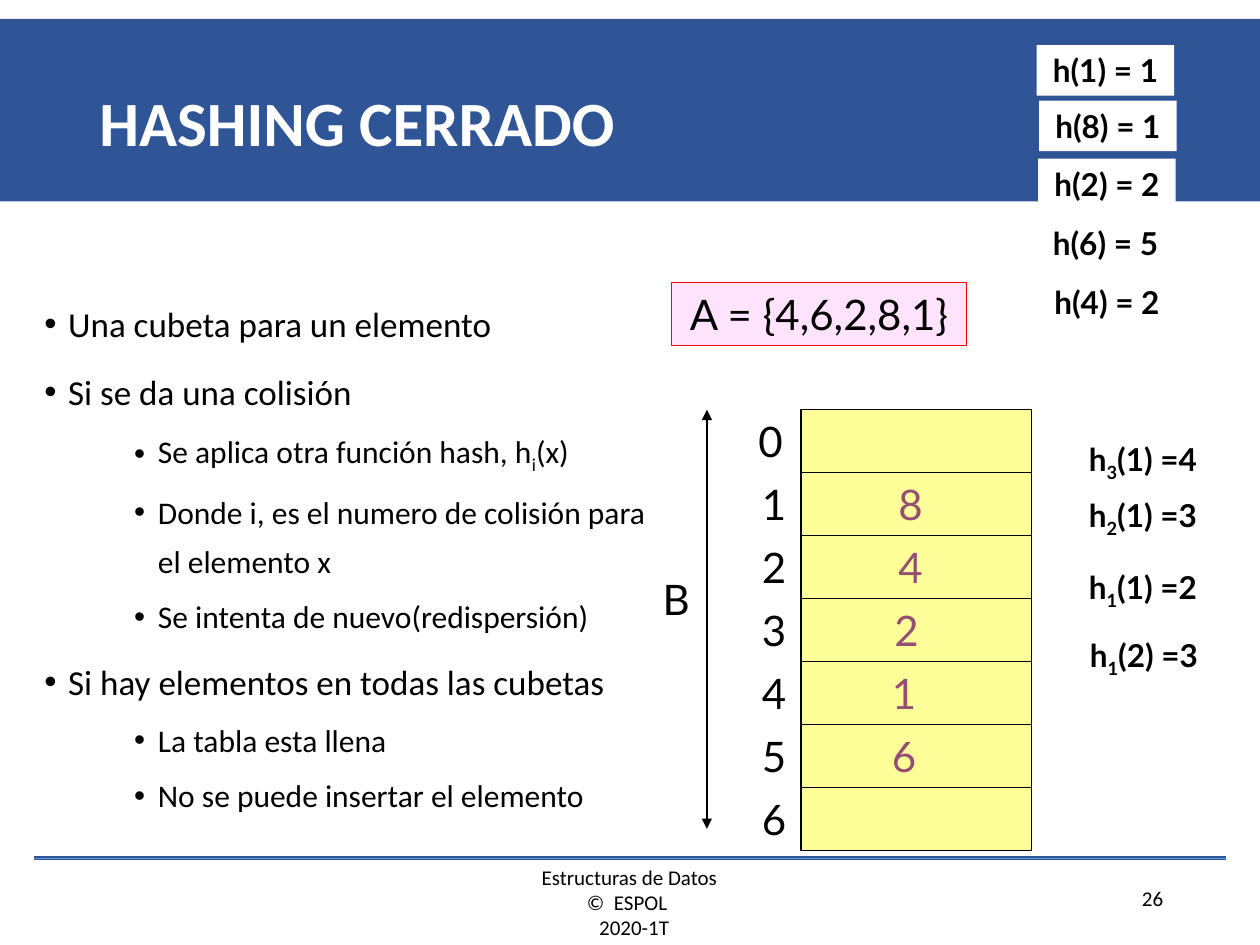
import pptx
import pptx.dml.color
import pptx.enum.dml
import pptx.enum.shapes
import pptx.enum.text
import pptx.util
from lxml import etree
from pptx.oxml.ns import qn

Cm = pptx.util.Cm
Pt = pptx.util.Pt
ALIGN = pptx.enum.text.PP_ALIGN
BLACK, WHITE, NAVY, PURPLE = "000000", "FFFFFF", "2F5597", "954F72"

CELL_LEFT, CELL_TOP, CELL_WIDTH, CELL_HEIGHT = 16.15, 8.26, 4.65, 1.27
BUCKET_COUNT = 7
LABEL_WIDTH = 0.99

# Bucket number: (left edge of the stored value, value)
STORED_VALUES = {1: (17.86, "8"), 2: (17.86, "4"), 3: (17.78, "2"),
                 4: (17.73, "1"), 5: (17.73, "6")}
HASHES = [(20.93, 5.59, "h(4) = 2"), (20.9, 4.39, "h(6) = 5"),
          (20.93, 3.2, "h(2) = 2"), (20.95, 2.03, "h(8) = 1"),
          (20.9, 0.91, "h(1) = 1")]
# Left, top, fill, number of the rehash function, rest of the text
REHASHES = [(21.41, 12.7, WHITE, "1", "(2) =3"),
            (21.39, 11.33, None, "1", "(1) =2"),
            (21.39, 9.88, None, "2", "(1) =3"),
            (21.39, 8.74, WHITE, "3", "(1) =4")]
# Level and runs; a run that starts with "_" is a subscript
BULLETS = [
    (0, ["Una cubeta para un elemento"]),
    (0, ["Si se da una colisión"]),
    (1, ["Se aplica otra función hash, h", "_i", "(x)"]),
    (1, ["Donde i, es el numero de colisión para el elemento x"]),
    (1, ["Se intenta de nuevo(redispersión)"]),
    (0, ["Si hay elementos en todas las cubetas"]),
    (1, ["La tabla esta llena"]),
    (1, ["No se puede insertar el elemento"]),
]


def color(hex_text):
    return pptx.dml.color.RGBColor.from_string(hex_text)


def place(shape, left, top, width, height):
    shape.left, shape.top = Cm(left), Cm(top)
    shape.width, shape.height = Cm(width), Cm(height)


def paint(shape, fill=None, line=None):
    if fill:
        shape.fill.solid()
        shape.fill.fore_color.rgb = color(fill)
    if line:
        shape.line.color.rgb = color(line)
        shape.line.width = Pt(0.75)
    else:
        shape.line.fill.background()


def add_runs(para, texts, size, font="Lato", ink=BLACK, bold=False):
    """Add one run per text; a leading "_" marks a subscript."""
    for text in texts:
        span = para.add_run()
        span.text = text.removeprefix("_")
        span.font.size = Pt(size)
        span.font.name = font
        span.font.bold = bold
        span.font.color.rgb = color(ink)
        if text.startswith("_"):
            span.font._element.set("baseline", "-25000")


def add_rectangle(slide, left, top, width, height, fill, line=None):
    box = slide.shapes.add_shape(
        pptx.enum.shapes.MSO_SHAPE.RECTANGLE,
        Cm(left), Cm(top), Cm(width), Cm(height))
    box.shadow.inherit = False
    paint(box, fill, line)


def add_text(slide, area, lines, size, font="Lato", ink=BLACK, bold=False,
             align=ALIGN.CENTER, wrap=False, fill=None, line=None):
    """Add a text box; lines is a list of paragraphs, each a list of runs."""
    box = slide.shapes.add_textbox(*(Cm(length) for length in area))
    paint(box, fill, line)
    frame = box.text_frame
    frame.word_wrap = wrap
    for number, texts in enumerate(lines):
        para = frame.add_paragraph() if number else frame.paragraphs[0]
        para.alignment = align
        add_runs(para, texts, size, font, ink, bold)


def add_line(slide, start, end, ink, width, arrows=False):
    line = slide.shapes.add_connector(
        pptx.enum.shapes.MSO_CONNECTOR.STRAIGHT,
        Cm(start[0]), Cm(start[1]), Cm(end[0]), Cm(end[1]))
    line.line.color.rgb = color(ink)
    line.line.width = Pt(width)
    if arrows:
        outline = line.line._get_or_add_ln()
        for name in ("a:headEnd", "a:tailEnd"):
            etree.SubElement(outline, qn(name), type="triangle")
    etree.SubElement(line._element.spPr, qn("a:effectLst"))


def fill_title(title):
    place(title, 1.75, 1.02, 21.92, 3.05)
    frame = title.text_frame
    frame.vertical_anchor = pptx.enum.text.MSO_ANCHOR.MIDDLE
    frame.auto_size = pptx.enum.text.MSO_AUTO_SIZE.NONE
    para = frame.paragraphs[0]
    para.alignment = ALIGN.LEFT
    para.line_spacing = 0.9
    add_runs(para, ["HASHING CERRADO"], 36, "Calibri", WHITE, True)


def fill_bullets(body):
    place(body, 0.64, 5.72, 13.13, 11.43)
    frame = body.text_frame
    frame.auto_size = pptx.enum.text.MSO_AUTO_SIZE.NONE
    for number, (level, texts) in enumerate(BULLETS):
        para = frame.add_paragraph() if number else frame.paragraphs[0]
        para.level = level
        para.line_spacing = 1.3
        before = (7.5, 3.7)[level] if number else 0
        para.space_before = Pt(before)
        para.space_after = Pt(0)
        properties = para._p.get_or_add_pPr()
        properties.set("marL", str(Cm((0.48, 2.29)[level])))
        properties.set("indent", str(Cm(-0.48)))
        etree.SubElement(properties, qn("a:buFont"), typeface="Arial")
        etree.SubElement(properties, qn("a:buChar"), char="•")
        add_runs(para, texts, (20, 18)[level], "Calibri")


def add_footer(slide):
    add_text(slide, (8.26, 17.3, 8.86, 1.78),
             [["Estructuras de Datos"], ["©  ESPOL "], ["  2020-1T"]],
             12, "Calibri", wrap=True)
    add_text(slide, (18.29, 17.73, 5.41, 0.79), [["26"]], 12, "Calibri",
             align=ALIGN.RIGHT, wrap=True)
    for ink, width in ((NAVY, 2.25), ("5B9BD5", 0.5)):
        add_line(slide, (0.69, 17.3), (24.71, 17.3), ink, width)


def add_hash_table(slide):
    for bucket in range(BUCKET_COUNT):
        top = CELL_TOP + bucket * CELL_HEIGHT
        add_rectangle(slide, CELL_LEFT, top, CELL_WIDTH, CELL_HEIGHT,
                      "FFFF99", BLACK)
        label_left = 15.11 if bucket else 15.04
        add_text(slide, (label_left, top, LABEL_WIDTH, CELL_HEIGHT),
                 [[str(bucket)]], 24)
        if bucket in STORED_VALUES:
            left, value = STORED_VALUES[bucket]
            add_text(slide, (left, top, LABEL_WIDTH, CELL_HEIGHT),
                     [[value]], 24, ink=PURPLE)
    add_line(slide, (14.25, CELL_TOP), (14.25, 16.71), BLACK, 0.75, True)
    add_text(slide, (13.11, 11.43, 1.04, 1.27), [["B"]], 24)


def add_hash_results(slide):
    add_text(slide, (13.54, 5.69, 5.94, 1.27), [["A = {4,6,2,8,1}"]], 24,
             fill="FFE3FD", line="FF0000")
    for left, top, text in HASHES:
        add_text(slide, (left, top, 2.77, 1.02), [[text]], 18, bold=True,
                 fill=WHITE)
    for left, top, fill, number, text in REHASHES:
        add_text(slide, (left, top, 3.3, 1.12), [["h", "_" + number, text]],
                 18, bold=True, wrap=True, fill=fill)


def main():
    deck = pptx.Presentation()
    deck.slide_width, deck.slide_height = Cm(25.4), Cm(19.05)
    slide = deck.slides.add_slide(deck.slide_layouts[1])
    title, body = slide.placeholders
    add_footer(slide)
    add_rectangle(slide, 0, 0.38, 25.4, 3.68, NAVY)
    # The title and list go in front of the band
    for placeholder in (title, body):
        slide.shapes._spTree.append(placeholder._element)
    fill_title(title)
    fill_bullets(body)
    add_hash_table(slide)
    add_hash_results(slide)
    deck.save("out.pptx")


if __name__ == "__main__":
    main()
